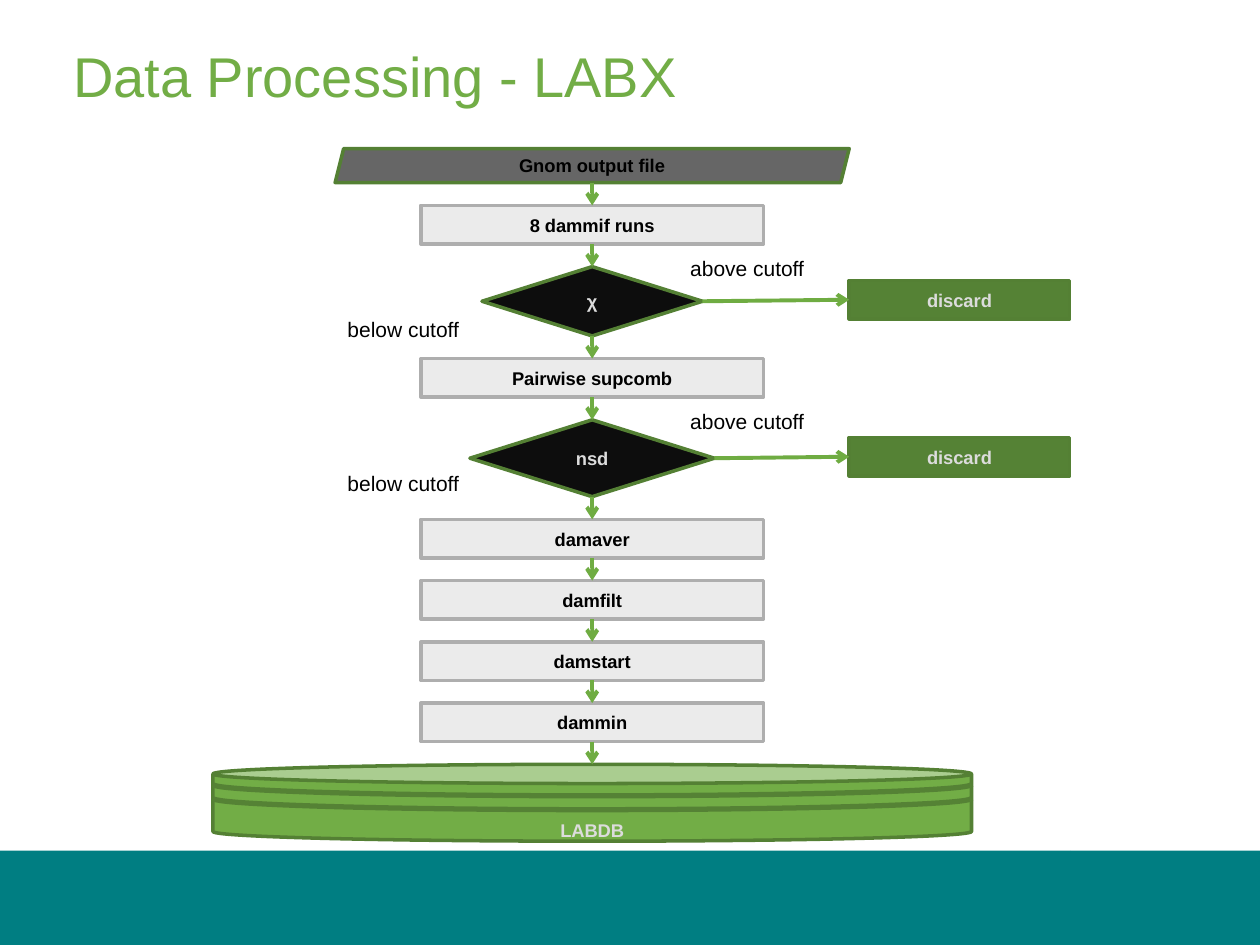
from lxml import etree
from pptx import Presentation
from pptx.dml.color import RGBColor
from pptx.enum.shapes import MSO_CONNECTOR, MSO_SHAPE
from pptx.enum.text import MSO_ANCHOR, PP_ALIGN
from pptx.oxml.ns import qn
from pptx.util import Inches, Pt

RECT = MSO_SHAPE.RECTANGLE
SLANT = MSO_SHAPE.PARALLELOGRAM
DIAMOND = MSO_SHAPE.DIAMOND
CAN = MSO_SHAPE.CAN
ARC = MSO_SHAPE.ARC
STRAIGHT = MSO_CONNECTOR.STRAIGHT
MIDDLE, TOP = MSO_ANCHOR.MIDDLE, MSO_ANCHOR.TOP
CENTER, LEFT = PP_ALIGN.CENTER, PP_ALIGN.LEFT

COLS, ROWS = 100, 75
GAP = 1.8
STEP = 3.06
GREEN, DARK, LIGHT = "72AD46", "548034", "DCDCDC"
JOINED = (RECT, DIAMOND)

STYLES = {
    "file": (SLANT, 40.8, 2.7, "666666", DARK, "000000"),
    "task": (RECT, 27.2, STEP, "EBEBEB", "AEAEAE", "000000"),
    "chi": (DIAMOND, 17.5, 5.5, "0D0D0D", DARK, LIGHT),
    "nsd": (DIAMOND, 19.4, 6.1, "0D0D0D", DARK, LIGHT),
    "store": (CAN, 60.2, 6.1, GREEN, DARK, LIGHT),
}
FLOW = [
    ("file", "Gnom output file"),
    ("task", "8 dammif runs"),
    ("chi", "χ"),
    ("task", "Pairwise supcomb"),
    ("nsd", "nsd"),
    ("task", "damaver"),
    ("task", "damfilt"),
    ("task", "damstart"),
    ("task", "dammin"),
    ("store", ""),
]


def grid(*cells):
    return [Inches(cell / 10) for cell in cells]


def paint(color):
    return RGBColor.from_string(color)


def write(frame, text, size, color, bold=False, align=CENTER, anchor=MIDDLE):
    frame.word_wrap = True
    frame.vertical_anchor = anchor
    para = frame.paragraphs[0]
    para.alignment = align
    run = para.add_run()
    run.text = text
    run.font.name = "Arial"
    run.font.size = Pt(size)
    run.font.bold = bold
    run.font.color.rgb = paint(color)


def label(slide, box, text, size, color, **look):
    frame = slide.shapes.add_textbox(*grid(*box)).text_frame
    write(frame, text, size, color, **look)
    return frame


def block(slide, kind, box, fill=None, edge=None, width=2):
    shape = slide.shapes.add_shape(kind, *grid(*box))
    shape.shadow.inherit = False
    if fill:
        shape.fill.solid()
        shape.fill.fore_color.rgb = paint(fill)
    else:
        shape.fill.background()
    if edge:
        shape.line.color.rgb = paint(edge)
        shape.line.width = Pt(width)
    else:
        shape.line.fill.background()
    return shape


def arrow(slide, start, end, first, last, sites):
    link = slide.shapes.add_connector(STRAIGHT, *grid(*start, *end))
    if first.auto_shape_type in JOINED:
        link.begin_connect(first, sites[0])
    if last.auto_shape_type in JOINED:
        link.end_connect(last, sites[1])
    link.line.color.rgb = paint("6FAC42")
    link.line.width = Pt(2.25)
    etree.SubElement(link.line._get_or_add_ln(), qn("a:tailEnd"), type="arrow")
    etree.SubElement(link._element.spPr, qn("a:effectLst"))


def choice(slide, box, node):
    left, top, width, high = box
    right, mid = left + width, top + high / 2
    side = block(slide, RECT, (67.4, mid - 1.65, 17.5, STEP), "558235", DARK)
    write(side.text_frame, "discard", 10.5, LIGHT, bold=True)
    arrow(slide, (right, mid), (67.4, mid), node, side, (3, 1))
    for text, col, row in (("above cutoff", 53.8, top - 1.35),
                           ("below cutoff", 26.6, top + 3.5)):
        label(slide, (col, row, 19.4, 2.4), text, 12, "000000",
              align=LEFT, anchor=TOP)


def store(slide, box):
    left, top, width, high = box
    for drop in (0.7, 1.8):
        arc = block(slide, ARC, (left, top + drop, width, 1.8),
                    edge="558235", width=3)
        arc.adjustments[0] = 0
        arc.adjustments[1] = 108
    label(slide, (left, top + 4.1, width, 2.2), "LABDB", 10.5, LIGHT, bold=True)


def chart(slide, box):
    left, top, width = box
    mid = left + width / 2
    last = None
    for name, text in FLOW:
        kind, wide, high, fill, edge, ink = STYLES[name]
        area = (mid - wide / 2, top, wide, high)
        node = block(slide, kind, area, fill, edge)
        if text:
            write(node.text_frame, text, 10.5, ink, bold=True)
        if last is not None:
            arrow(slide, (mid, top - GAP), (mid, top), last, node, (2, 0))
        if kind == DIAMOND:
            choice(slide, area, node)
        if kind == CAN:
            store(slide, area)
        last = node
        top += high + GAP


def title(slide, box):
    frame = label(slide, box, "Data Processing - LABX", 32, GREEN,
                  align=LEFT, anchor=TOP)
    frame.margin_left = frame.margin_right = 0
    frame.margin_top = frame.margin_bottom = 0


def footer(slide, box):
    left, top, width, high = box
    split = width * 0.85
    block(slide, RECT, (left, top, split, high), "007E82")
    block(slide, RECT, (left + split, top, width - split, high), "007E82")


def main():
    deck = Presentation()
    deck.slide_width, deck.slide_height = grid(COLS, ROWS)
    slide = deck.slides.add_slide(deck.slide_layouts[6])
    footer(slide, (0, ROWS * 0.9, COLS, ROWS * 0.1))
    chart(slide, (16.9, 11.8, 60.2))
    title(slide, (5.8, 3.3, 89.2, 8.3))
    deck.save("out.pptx")


if __name__ == "__main__":
    main()
